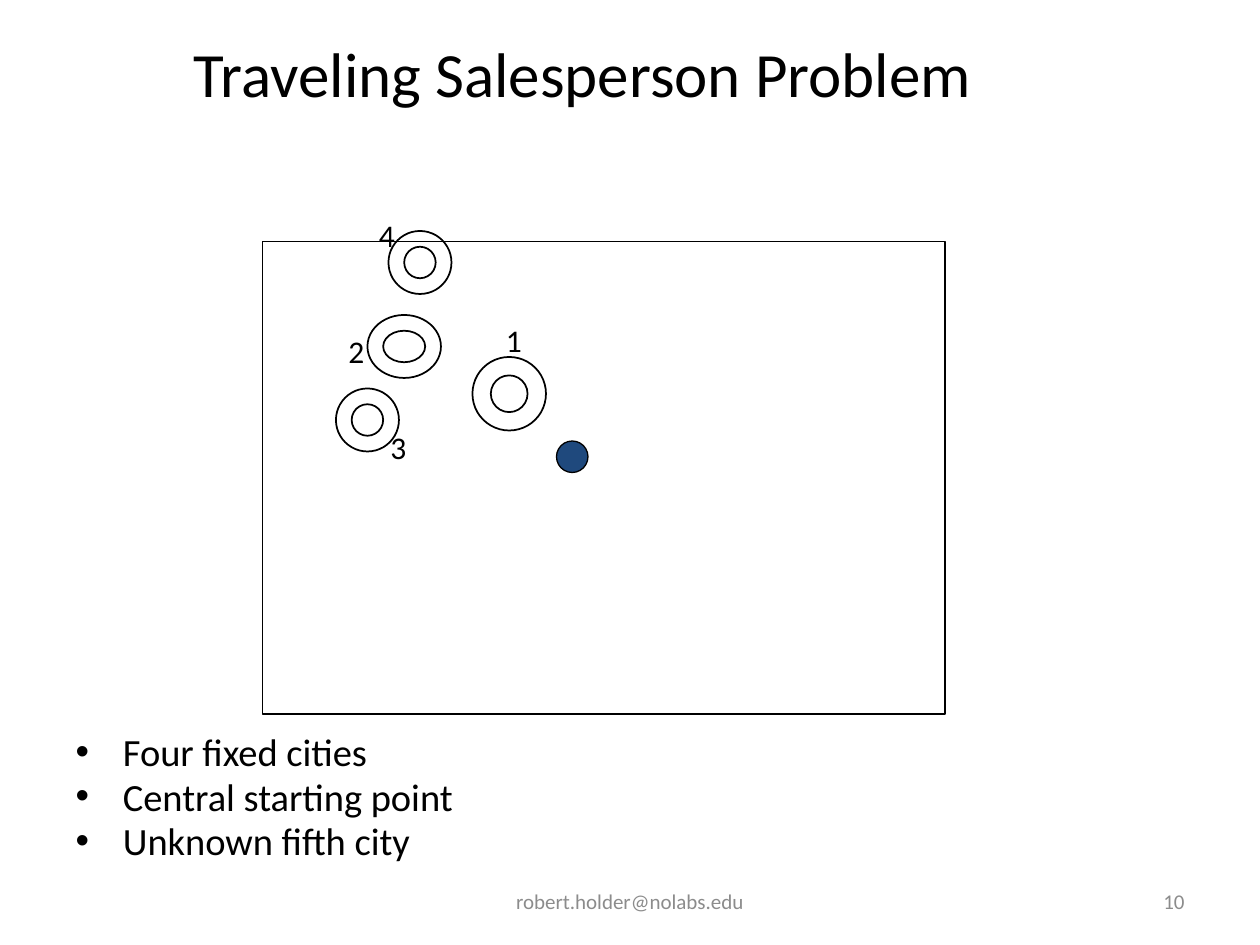
from pptx import Presentation
from pptx.dml.color import RGBColor
from pptx.enum.shapes import MSO_SHAPE as Shape
from pptx.enum.text import MSO_ANCHOR as Anchor, MSO_AUTO_SIZE as AutoSize, PP_ALIGN as Align
from pptx.util import Pt

COLORS = {"ink": "000000", "start": "1F497D", "footer": "8C8C8C"}
FONT = "Calibri"


class SlideBuilder:
    def __init__(self, deck):
        self.page = deck.slides.add_slide(deck.slide_layouts[1])

    def color(self, name):
        return RGBColor.from_string(COLORS[name])

    def format_text(self, frame, size, color="ink", align=None):
        for para in frame.paragraphs:
            if align is not None:
                para.alignment = align
            for span in para.runs:
                span.font.name = FONT
                span.font.size = Pt(size)
                span.font.color.rgb = self.color(color)

    def place(self, box, left, top, width, height):
        box.left, box.top, box.width, box.height = map(Pt, (left, top, width, height))

    def title(self, text, *bounds):
        box = self.page.shapes.title
        self.place(box, *bounds)
        frame = box.text_frame
        frame.text = text
        frame.auto_size = AutoSize.NONE
        frame.vertical_anchor = Anchor.TOP
        frame.margin_top = Pt(10)
        self.format_text(frame, 36, align=Align.CENTER)

    def bullets(self, lines, *bounds):
        box = self.page.placeholders[1]
        self.place(box, *bounds)
        frame = box.text_frame
        frame.text = "\n".join(lines)
        frame.auto_size = AutoSize.NONE
        for para in frame.paragraphs:
            para.line_spacing = 0.8
        self.format_text(frame, 22)

    def shape(self, kind, bounds, fill=None, line_width=0.75):
        item = self.page.shapes.add_shape(kind, *map(Pt, bounds))
        item.shadow.inherit = False
        if fill:
            item.fill.solid()
            item.fill.fore_color.rgb = self.color(fill)
        else:
            item.fill.background()
        item.line.color.rgb = self.color("ink")
        item.line.width = Pt(line_width)
        return item

    def city(self, number, ring_bounds, label_left, label_top):
        ring = self.shape(Shape.DONUT, ring_bounds, line_width=1)
        ring.adjustments[0] = 0.25
        self.label(number, (label_left, label_top, 24.5, 29), 18)

    def label(self, text, bounds, size, color="ink", align=Align.LEFT,
              anchor=Anchor.TOP, wrap=False):
        box = self.page.shapes.add_textbox(*map(Pt, bounds))
        frame = box.text_frame
        frame.text = text
        frame.word_wrap = wrap
        frame.vertical_anchor = anchor
        self.format_text(frame, size, color, align)

    def footer(self, text, left, width, align):
        self.label(text, (left, 500.5, width, 28.75), 12, "footer", align,
                   Anchor.MIDDLE, wrap=True)


def main():
    deck = Presentation()
    deck.slide_width, deck.slide_height = Pt(720), Pt(540)
    slide = SlideBuilder(deck)

    slide.title("Traveling Salesperson Problem", 36, 9.5, 594, 102)
    slide.bullets(["Four fixed cities", "Central starting point", "Unknown fifth city"],
                  36, 417.5, 648, 86.5)

    cities = [
        ("4", (222, 132, 36, 36), 209.5, 120),
        ("2", (210, 180, 42, 36), 192, 186),
        ("3", (192, 222, 36, 36), 216, 241),
        ("1", (270, 204, 42, 42), 282, 180),
    ]
    for city in cities:
        slide.city(*city)

    slide.shape(Shape.RECTANGLE, (150, 138, 390, 270))
    slide.shape(Shape.OVAL, (318, 252, 18, 18), fill="start")

    slide.footer("robert.holder@nolabs.edu", 246, 228, Align.CENTER)
    slide.footer("10", 516, 168, Align.RIGHT)
    deck.save("out.pptx")


if __name__ == "__main__":
    main()
